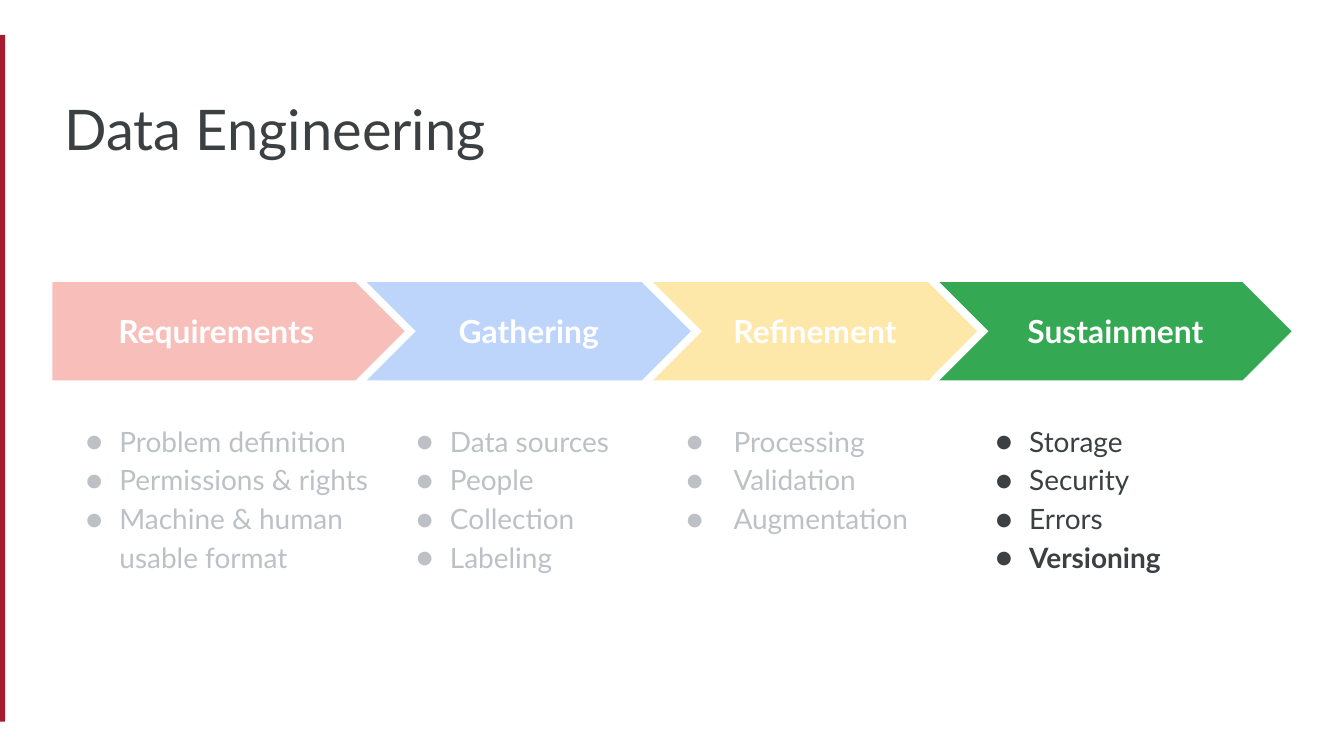
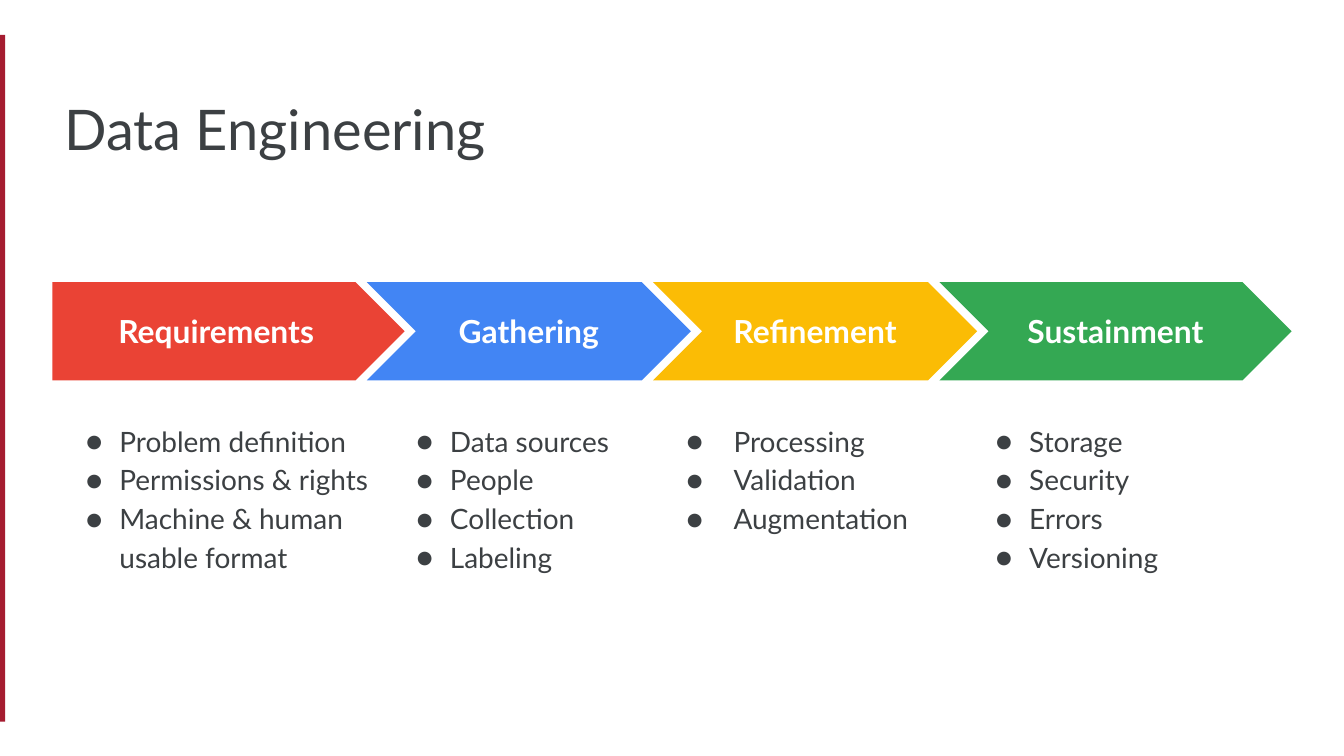
from dataclasses import dataclass

from lxml import etree
from pptx import Presentation
from pptx import util as u
from pptx.dml.color import RGBColor
from pptx.enum import shapes, text
from pptx.oxml import ns

PX = u.Inches(1) // 100
TITLE_ONLY = 5


@dataclass(frozen=True)
class Theme:
    font: str = "Lato"
    ink: str = "3C4043"
    muted: str = "BDC1C6"
    white: str = "FFFFFF"
    band: str = "A51C30"
    red: str = "EA4335"
    blue: str = "4285F4"
    yellow: str = "FBBC05"
    green: str = "34A853"
    title_size: int = 30
    stage_size: int = 17
    list_size: int = 15
    inset: int = 10


@dataclass(frozen=True)
class Stage:
    name: str
    color: str
    items: tuple
    list_left: int
    list_width: int
    indent: int = 40
    hanging: int = 25


THEME = Theme()
STAGES = (
    Stage("Requirements", THEME.red,
          ("Problem definition", "Permissions & rights", "Machine & human usable format"),
          39, 269),
    Stage("Gathering", THEME.blue,
          ("Data sources", "People", "Collection", "Labeling"), 285, 196),
    Stage("Refinement", THEME.yellow,
          ("Processing", "Validation", "Augmentation"), 486, 213, 50, 35),
    Stage("Sustainment", THEME.green,
          ("Storage", "Security", "Errors", "Versioning"), 716, 227),
)

SLIDE_WIDTH = 1000
BAND_BOX = (-2, 26, 6, 511)
TITLE_BOX = (38, 66, 853, 59)
PROCESS_BOX = (39, 210, 922, 73)
LIST_TOP, LIST_HEIGHT = 302, 174
STAGE_STEP = 213
STAGE_OVERLAP = 28
NOTCH_SHIFT = 21
VEIL_BOX = (26, 196, 706, 107)
VEIL_POINTS = ((0, 0), (0, 107), (648, 101), (706, 51), (658, 2))
VEIL_OPACITY = 66


def emu(box):
    return [value * PX for value in box]


def paint(shape, color):
    shape.shadow.inherit = False
    shape.fill.solid()
    shape.fill.fore_color.rgb = RGBColor.from_string(color)
    shape.line.fill.background()


def prepare_frame(frame, anchor=text.MSO_ANCHOR.TOP):
    frame.word_wrap = True
    frame.auto_size = text.MSO_AUTO_SIZE.NONE
    frame.vertical_anchor = anchor
    for side in ("left", "top", "right", "bottom"):
        setattr(frame, f"margin_{side}", THEME.inset * PX)


def add_run(paragraph, words, size, color, bold=False):
    run = paragraph.add_run()
    run.text = words
    run.font.name = THEME.font
    run.font.size = u.Pt(size)
    run.font.bold = bold
    run.font.color.rgb = RGBColor.from_string(color)


def add_bullet(paragraph, stage, color):
    properties = paragraph._p.get_or_add_pPr()
    properties.set("marL", str(stage.indent * PX))
    properties.set("indent", str(-stage.hanging * PX))
    bullet_color = etree.SubElement(properties, ns.qn("a:buClr"))
    etree.SubElement(bullet_color, ns.qn("a:srgbClr"), val=color)
    etree.SubElement(properties, ns.qn("a:buFont"), typeface=THEME.font)
    etree.SubElement(properties, ns.qn("a:buChar"), char="●")


def add_band(slide, box):
    paint(slide.shapes.add_shape(shapes.MSO_SHAPE.RECTANGLE, *emu(box)), THEME.band)


def fill_title(slide, words, box):
    title = slide.shapes.title
    title.left, title.top, title.width, title.height = emu(box)
    prepare_frame(title.text_frame)
    paragraph = title.text_frame.paragraphs[0]
    paragraph.alignment = text.PP_ALIGN.LEFT
    paragraph.line_spacing = 0.9
    add_run(paragraph, words, THEME.title_size, THEME.ink)


def add_stage(slide, stage, kind, box):
    arrow = slide.shapes.add_shape(kind, *emu(box))
    paint(arrow, stage.color)
    arrow.adjustments[0] = 0.5
    prepare_frame(arrow.text_frame, text.MSO_ANCHOR.MIDDLE)
    paragraph = arrow.text_frame.paragraphs[0]
    paragraph.alignment = text.PP_ALIGN.CENTER
    add_run(paragraph, stage.name, THEME.stage_size, THEME.white, True)


def add_list(slide, stage, color, strong, box):
    frame = slide.shapes.add_textbox(*emu(box)).text_frame
    prepare_frame(frame)
    for index, item in enumerate(stage.items):
        paragraph = frame.add_paragraph() if index else frame.paragraphs[0]
        add_bullet(paragraph, stage, color)
        paragraph.line_spacing = 1.15
        add_run(paragraph, item, THEME.list_size, color, item == strong)


def add_process(slide, box, focus=None, strong=None):
    left, top, width, height = box
    last = len(STAGES) - 1
    for index, stage in enumerate(STAGES):
        start = left + index * STAGE_STEP + (NOTCH_SHIFT if index else 0)
        end = left + width if index == last else (
            left + (index + 1) * STAGE_STEP + NOTCH_SHIFT + STAGE_OVERLAP)
        kind = shapes.MSO_SHAPE.CHEVRON if index else shapes.MSO_SHAPE.PENTAGON
        add_stage(slide, stage, kind, (start, top, end - start, height))
        color = THEME.ink if focus in (None, stage.name) else THEME.muted
        add_list(slide, stage, color, strong,
                 (stage.list_left, LIST_TOP, stage.list_width, LIST_HEIGHT))


def add_veil(slide, box):
    left, top = box[:2]
    points = [(left + x, top + y) for x, y in VEIL_POINTS]
    builder = slide.shapes.build_freeform(*points[0], scale=PX)
    builder.add_line_segments(points[1:], close=True)
    veil = builder.convert_to_shape()
    paint(veil, THEME.white)
    color = veil.fill._xPr.find(".//" + ns.qn("a:srgbClr"))
    etree.SubElement(color, ns.qn("a:alpha"), val=str(VEIL_OPACITY * 1000))


def add_process_slide(presentation, focus=None, strong=None):
    slide = presentation.slides.add_slide(presentation.slide_layouts[TITLE_ONLY])
    add_band(slide, BAND_BOX)
    fill_title(slide, "Data Engineering", TITLE_BOX)
    add_process(slide, PROCESS_BOX, focus, strong)
    if focus:
        add_veil(slide, VEIL_BOX)


def main():
    presentation = Presentation()
    presentation.slide_width = SLIDE_WIDTH * PX
    presentation.slide_height = presentation.slide_width * 9 // 16
    add_process_slide(presentation, "Sustainment", "Versioning")
    add_process_slide(presentation)
    presentation.save("out.pptx")


if __name__ == "__main__":
    main()
